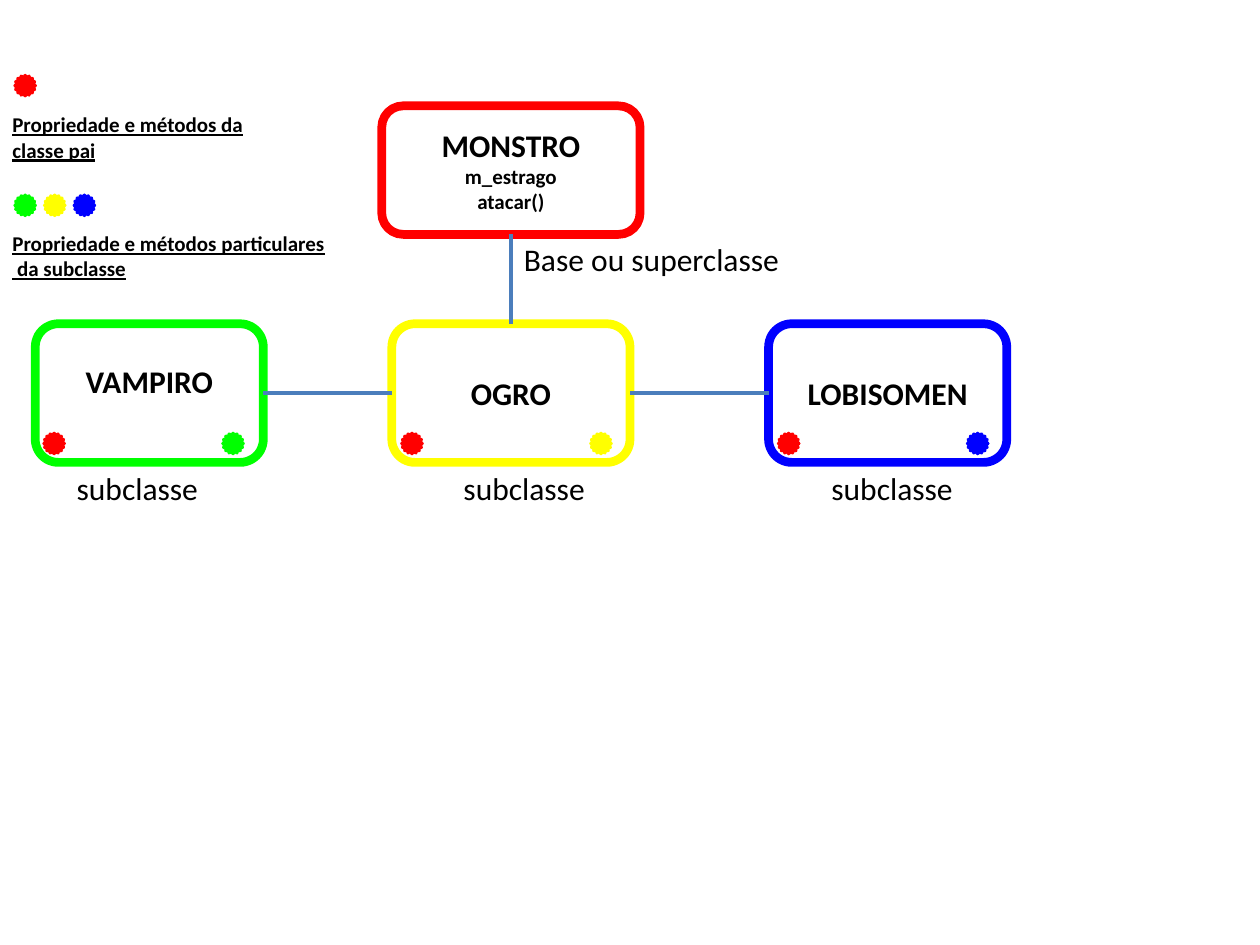
from dataclasses import dataclass

from lxml import etree
from pptx import Presentation
from pptx.dml.color import RGBColor
from pptx.enum.shapes import MSO_CONNECTOR, MSO_SHAPE
from pptx.enum.text import MSO_ANCHOR, PP_ALIGN
from pptx.oxml.ns import qn
from pptx.util import Inches, Pt

ROUNDED = MSO_SHAPE.ROUNDED_RECTANGLE
STAR = MSO_SHAPE.STAR_16_POINT
STRAIGHT = MSO_CONNECTOR.STRAIGHT
CENTER, LEFT = PP_ALIGN.CENTER, PP_ALIGN.LEFT
MIDDLE = MSO_ANCHOR.MIDDLE
TOP_SIDE, LEFT_SIDE, BOTTOM_SIDE, RIGHT_SIDE = range(4)


@dataclass(frozen=True)
class Theme:
    font: str = "Calibri"
    text: RGBColor = RGBColor(0, 0, 0)
    parent: RGBColor = RGBColor(255, 0, 0)
    vampire: RGBColor = RGBColor(0, 255, 0)
    ogre: RGBColor = RGBColor(255, 255, 0)
    werewolf: RGBColor = RGBColor(0, 0, 255)
    connector: RGBColor = RGBColor(0x4B, 0x7E, 0xBC)
    large: int = 18
    small: int = 12
    box_line: float = 5
    star_line: float = 2
    connector_line: float = 2.5


THEME = Theme()
STAR_SIZE = 0.16
SUBCLASS_TOP, SUBCLASS_HEIGHT = 2.57, 1.1
SUBCLASS_STAR_TOP = 3.44

# name, colour, left, width, bottom inset, caption left, parent star left, own star left
SUBCLASSES = [
    ("VAMPIRO", THEME.vampire, 0.28, 1.81, 0.25, 0.51, 0.35, 1.77),
    ("OGRO", THEME.ogre, 3.11, 1.89, 0.05, 3.58, 3.19, 4.69),
    ("LOBISOMEN", THEME.werewolf, 6.1, 1.89, 0.05, 6.5, 6.18, 7.68),
]


def write_lines(frame, lines, alignment=LEFT, bold=False, underline=False):
    """Write one paragraph for each (text, size) pair."""
    for index, (text, size) in enumerate(lines):
        paragraph = frame.add_paragraph() if index else frame.paragraphs[0]
        paragraph.text = text
        paragraph.alignment = alignment
        font = paragraph.font
        font.name = THEME.font
        font.size = Pt(size)
        font.bold = bold
        font.underline = underline
        font.color.rgb = THEME.text


def add_class_box(slide, left, top, width, height, color, lines, bottom_inset=0.05):
    box = slide.shapes.add_shape(
        ROUNDED, Inches(left), Inches(top), Inches(width), Inches(height))
    box.shadow.inherit = False
    box.fill.background()
    box.line.color.rgb = color
    box.line.width = Pt(THEME.box_line)
    frame = box.text_frame
    frame.vertical_anchor = MIDDLE
    frame.margin_bottom = Inches(bottom_inset)
    write_lines(frame, lines, CENTER, bold=True)
    return box


def add_text(slide, left, top, width, height, lines, **style):
    box = slide.shapes.add_textbox(
        Inches(left), Inches(top), Inches(width), Inches(height))
    box.text_frame.word_wrap = True
    write_lines(box.text_frame, lines, **style)


def add_star(slide, left, top, color):
    star = slide.shapes.add_shape(
        STAR, Inches(left), Inches(top), Inches(STAR_SIZE), Inches(STAR_SIZE))
    star.shadow.inherit = False
    star.fill.solid()
    star.fill.fore_color.rgb = color
    star.line.color.rgb = color
    star.line.width = Pt(THEME.star_line)


def connect(slide, start, start_side, end, end_side):
    connector = slide.shapes.add_connector(STRAIGHT, 0, 0, 0, 0)
    connector.begin_connect(start, start_side)
    connector.end_connect(end, end_side)
    connector.line.color.rgb = THEME.connector
    connector.line.width = Pt(THEME.connector_line)
    etree.SubElement(connector._element.spPr, qn("a:effectLst"))


def add_legend(slide, star_top, colors, text_top, width, lines):
    for index, color in enumerate(colors):
        add_star(slide, 0.12 + index * 0.235, star_top, color)
    add_text(slide, 0, text_top, width, 0.5,
             [(line, THEME.small) for line in lines], bold=True, underline=True)


def add_subclass(slide, name, color, left, width, bottom_inset,
                 caption_left, parent_star_left, own_star_left):
    box = add_class_box(slide, left, SUBCLASS_TOP, width, SUBCLASS_HEIGHT, color,
                        [(name, THEME.large)], bottom_inset)
    add_text(slide, caption_left, SUBCLASS_TOP + SUBCLASS_HEIGHT, 1.18, 0.4,
             [("subclasse", THEME.large)])
    add_star(slide, parent_star_left, SUBCLASS_STAR_TOP, THEME.parent)
    add_star(slide, own_star_left, SUBCLASS_STAR_TOP, color)
    return box


def main():
    presentation = Presentation()
    presentation.slide_width = Inches(10)
    presentation.slide_height = Inches(7.5)
    slide = presentation.slides.add_slide(presentation.slide_layouts[6])

    monster = add_class_box(
        slide, 3.03, 0.84, 2.05, 1.02, THEME.parent,
        [("MONSTRO", THEME.large), ("m_estrago", THEME.small), ("atacar()", THEME.small)])
    add_text(slide, 4.06, 1.86, 3.07, 0.4, [("Base ou superclasse", THEME.large)])

    vampire, ogre, werewolf = [add_subclass(slide, *entry) for entry in SUBCLASSES]
    connect(slide, monster, BOTTOM_SIDE, ogre, TOP_SIDE)
    connect(slide, ogre, RIGHT_SIDE, werewolf, LEFT_SIDE)
    connect(slide, vampire, RIGHT_SIDE, ogre, LEFT_SIDE)

    add_legend(slide, 0.6, [THEME.parent], 0.84, 2.2,
               ["Propriedade e métodos da classe pai"])
    add_legend(slide, 1.55, [THEME.vampire, THEME.ogre, THEME.werewolf], 1.78, 4.41,
               ["Propriedade e métodos particulares", " da subclasse"])

    presentation.save("out.pptx")


if __name__ == "__main__":
    main()
